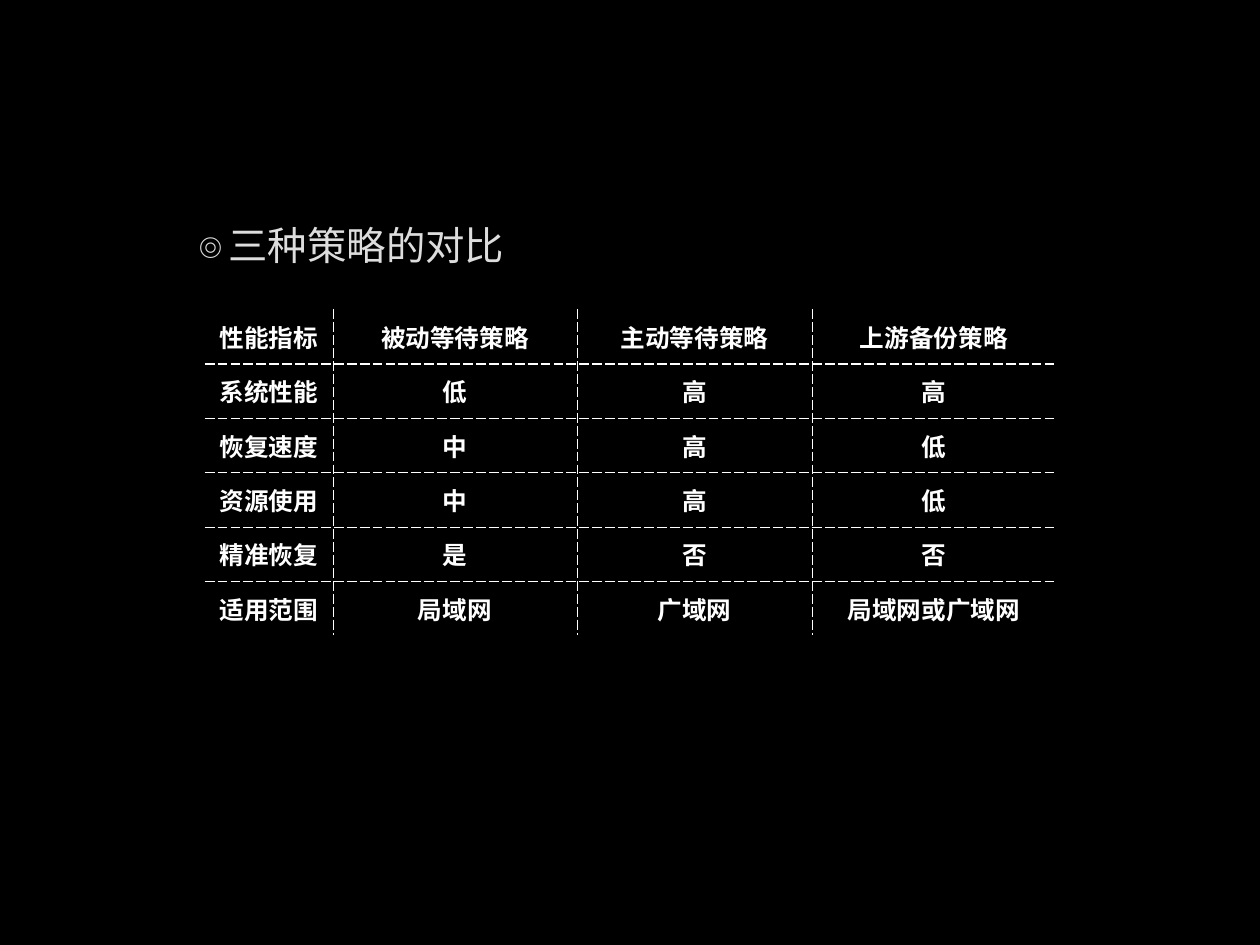
from lxml import etree
from pptx import Presentation
from pptx.dml.color import RGBColor
from pptx.enum.text import MSO_ANCHOR, PP_ALIGN
from pptx.oxml.ns import qn
from pptx.util import Inches, Pt

LEFT, CENTER = PP_ALIGN.LEFT, PP_ALIGN.CENTER
MIDDLE = MSO_ANCHOR.MIDDLE

THEME = {
    "font": "Arial",
    "background": "000000",
    "title": "DDDDDD",
    "table": "FFFFFF",
    "title_size": 32,
    "table_size": 20,
    "thin": 0.45,
    "thick": 1.47,
}

# Grid in inches
TABLE_LEFT, TABLE_TOP = 2.31, 3.49
COLUMN_WIDTHS = [1.45, 2.75, 2.66, 2.74]
ROW_HEIGHT = 0.613

ROWS = [
    ["性能指标", "被动等待策略", "主动等待策略", "上游备份策略"],
    ["系统性能", "低", "高", "高"],
    ["恢复速度", "中", "高", "低"],
    ["资源使用", "中", "高", "低"],
    ["精准恢复", "是", "否", "否"],
    ["适用范围", "局域网", "广域网", "局域网或广域网"],
]


def write(frame, text, size, color, bold=False, align=LEFT):
    para = frame.paragraphs[0]
    para.alignment = align
    span = para.add_run()
    span.text = text
    span.font.name = THEME["font"]
    span.font.size = Pt(size)
    span.font.bold = bold
    span.font.color.rgb = RGBColor.from_string(color)
    return para


def add_border(cell, side, width):
    """Draw a dashed cell edge, or hide the edge when width is 0."""
    properties = cell._tc.get_or_add_tcPr()
    line = etree.SubElement(properties, qn(f"a:ln{side}"), w=str(Pt(width)))
    if not width:
        etree.SubElement(line, qn("a:noFill"))
        return
    fill = etree.SubElement(line, qn("a:solidFill"))
    etree.SubElement(fill, qn("a:srgbClr"), val=THEME["table"])
    etree.SubElement(line, qn("a:prstDash"), val="dash")


# Deck and page
deck = Presentation()
deck.slide_width, deck.slide_height = Inches(14.22), Inches(10.66)
page = deck.slides.add_slide(deck.slide_layouts[6])
page.background.fill.solid()
page.background.fill.fore_color.rgb = RGBColor.from_string(THEME["background"])

# Title with a ring bullet
box = page.shapes.add_textbox(Inches(2.18), Inches(2.45), Inches(4.41), Inches(0.63))
frame = box.text_frame
frame.word_wrap = True
frame.margin_left = frame.margin_right = Inches(0.05)
frame.margin_top = frame.margin_bottom = Inches(0.05)
title = write(frame, "三种策略的对比", THEME["title_size"], THEME["title"])
title_format = title._p.get_or_add_pPr()
title_format.set("marL", str(Inches(0.35)))
title_format.set("indent", str(-Inches(0.35)))
bullet_color = etree.SubElement(title_format, qn("a:buClr"))
etree.SubElement(bullet_color, qn("a:srgbClr"), val=THEME["title"])
etree.SubElement(title_format, qn("a:buFont"), typeface=THEME["font"])
etree.SubElement(title_format, qn("a:buChar"), char="๏")

# Comparison table
last_row, last_column = len(ROWS) - 1, len(COLUMN_WIDTHS) - 1
table = page.shapes.add_table(
    len(ROWS), len(COLUMN_WIDTHS), Inches(TABLE_LEFT), Inches(TABLE_TOP),
    Inches(sum(COLUMN_WIDTHS)), Inches(ROW_HEIGHT * len(ROWS)),
).table
table.first_row = table.horz_banding = False
for column, width in zip(table.columns, COLUMN_WIDTHS):
    column.width = Inches(width)

for r, labels in enumerate(ROWS):
    table.rows[r].height = Inches(ROW_HEIGHT)
    for c, label in enumerate(labels):
        cell = table.cell(r, c)
        cell.vertical_anchor = MIDDLE
        write(cell.text_frame, label, THEME["table_size"], THEME["table"],
              bold=True, align=CENTER)
        # Only inner edges show; the one under the header is thicker
        add_border(cell, "L", THEME["thin"] if c > 0 else 0)
        add_border(cell, "R", THEME["thin"] if c < last_column else 0)
        add_border(cell, "T", (0, THEME["thick"])[r] if r < 2 else THEME["thin"])
        add_border(cell, "B", THEME["thick"] if r == 0
                   else THEME["thin"] if r < last_row else 0)
        cell.fill.background()

deck.save("out.pptx")
